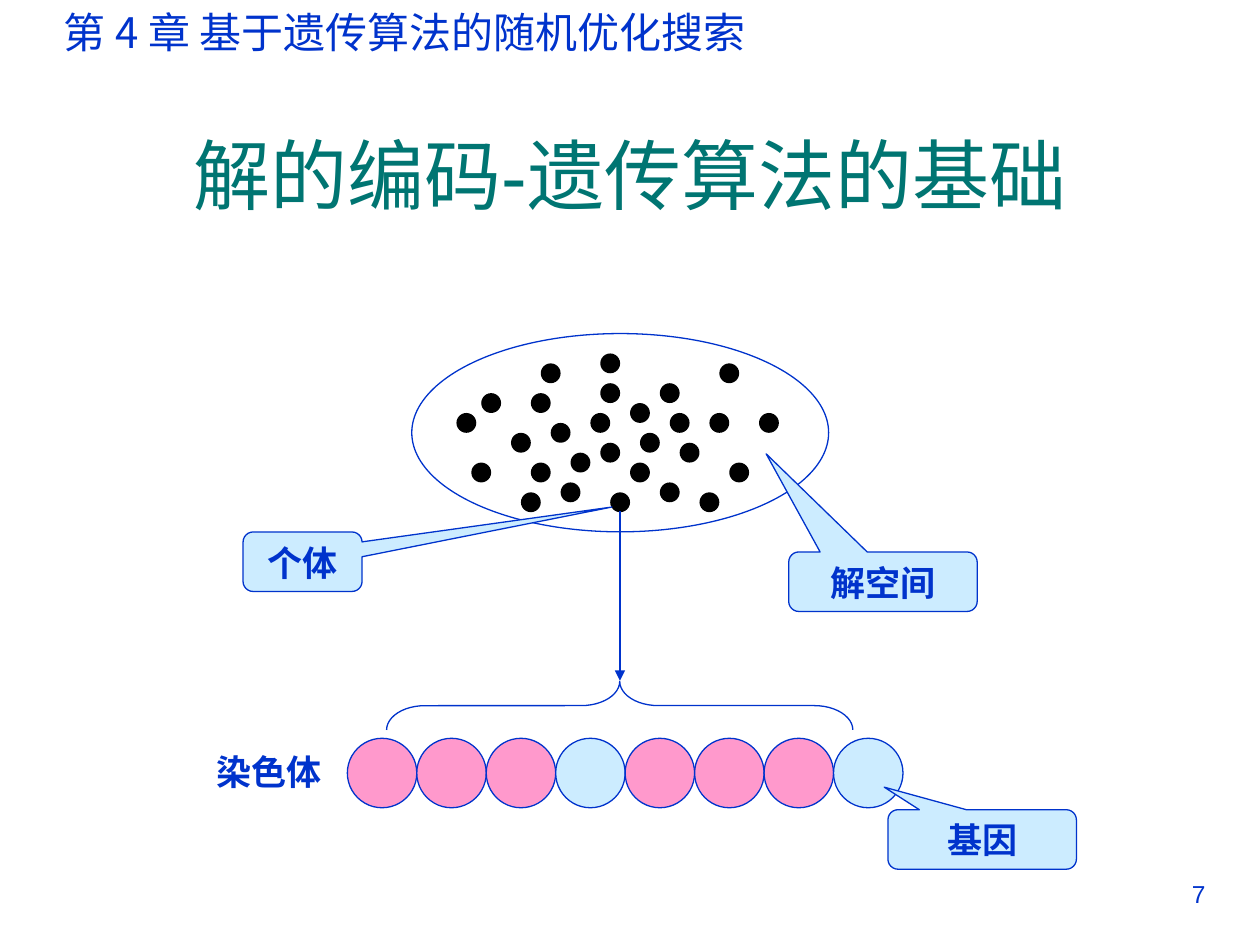
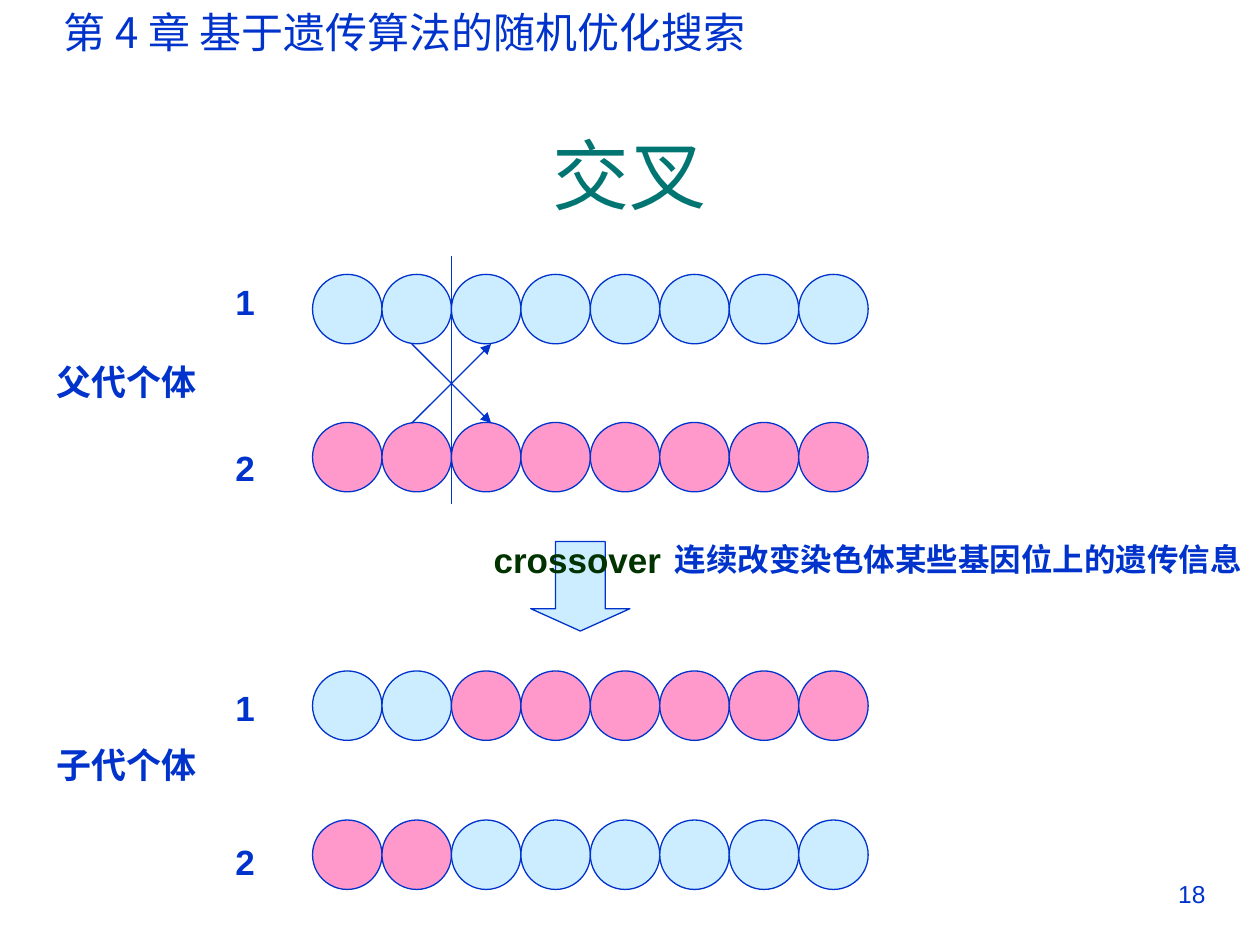
from pptx import Presentation
from pptx.dml.color import RGBColor
from pptx.enum.shapes import MSO_CONNECTOR, MSO_SHAPE
from pptx.enum.text import MSO_ANCHOR, PP_ALIGN
from pptx.oxml.ns import qn
from pptx.util import Pt
from lxml import etree

OVAL = MSO_SHAPE.OVAL
CALL = MSO_SHAPE.ROUNDED_RECTANGULAR_CALLOUT
BRACE = MSO_SHAPE.LEFT_BRACE
DOWN = MSO_SHAPE.DOWN_ARROW
LINE = MSO_CONNECTOR.STRAIGHT
TOP, MID = MSO_ANCHOR.TOP, MSO_ANCHOR.MIDDLE
LEFT, MIDST, RIGHT = PP_ALIGN.LEFT, PP_ALIGN.CENTER, PP_ALIGN.RIGHT

HUES = {"blue": "0033CC", "sky": "CCECFF", "pink": "FF99CC",
        "teal": "007572", "green": "003300", "black": "000000"}
LATIN, HAN = "Arial", "Noto Sans CJK SC"
GENE = 39.69   # diameter and pitch of a gene
GRID = 5.67    # pitch of the dots in the solution space


def draw(page, box, kind=None, fill=None, line="blue", adj=()):
    """Add a preset shape, or a text box when no kind is given."""
    box = [Pt(n) for n in box]
    if kind is None:
        return page.shapes.add_textbox(*box)
    shape = page.shapes.add_shape(kind, *box)
    shape.shadow.inherit = False
    for i, n in enumerate(adj):
        shape.adjustments[i] = n
    if fill:
        shape.fill.solid()
        shape.fill.fore_color.rgb = RGBColor.from_string(HUES[fill])
    else:
        shape.fill.background()
    if line:
        shape.line.color.rgb = RGBColor.from_string(HUES[line])
        shape.line.width = Pt(0.75)
    else:
        shape.line.fill.background()
    return shape


def write(shape, text, size=20, hue="blue", bold=True, font=LATIN,
          align=LEFT, anchor=TOP, wrap=False):
    frame = shape.text_frame
    frame.word_wrap = wrap
    frame.vertical_anchor = anchor
    par = frame.paragraphs[0]
    par.alignment = align
    run = par.add_run()
    run.text = text
    run.font.size = Pt(size)
    run.font.bold = bold
    run.font.name = font
    run.font.color.rgb = RGBColor.from_string(HUES[hue])
    east = etree.SubElement(run.font._element, qn("a:ea"))
    east.set("typeface", HAN)


deck = Presentation()
deck.slide_width, deck.slide_height = Pt(720), Pt(540)

# Header, title and number of every slide
pages = []
for title, number in [("解的编码-遗传算法的基础", "7"), ("交叉", "18")]:
    page = deck.slides.add_slide(deck.slide_layouts[6])
    write(draw(page, (29.5, 0, 420.5, 36)), "第 4 章 基于遗传算法的随机优化搜索",
          size=24, bold=False, font=HAN)
    write(draw(page, (24, 54, 672, 90)), title, size=44, hue="teal",
          bold=False, align=MIDST, anchor=MID, wrap=True)
    write(draw(page, (516, 499, 180, 37.5)), number, size=14,
          bold=False, align=RIGHT, wrap=True)
    pages.append(page)
code, cross = pages

# Solution space: the columns of the dots in each grid row
draw(code, (235.3, 190.6, 238.2, 113.3), OVAL)
dots = {0: [15], 1: [9, 27], 3: [15, 21], 4: [3, 8], 5: [18],
        6: [0.5, 14, 22, 26, 31], 7: [10], 8: [6, 19], 9: [15, 23],
        10: [12], 11: [2, 8, 18, 28], 13: [11, 21], 14: [7, 16, 25]}
for row, cols in dots.items():
    for col in cols:
        draw(code, (258 + col * GRID, 202 + row * GRID, 11.34, 11.34),
             OVAL, "black", None)

# Strands of genes: p is pink, s is sky
strands = [(code, 198.5, 421.9, "pppsppps"),
           (cross, 178.6, 156.8, "ssssssss"),
           (cross, 178.6, 241.4, "pppppppp"),
           (cross, 178.6, 383.4, "sspppppp"),
           (cross, 178.6, 468.6, "ppssssss")]
for page, left, top, genes in strands:
    for i, gene in enumerate(genes):
        draw(page, (left + i * GENE, top, GENE, GENE), OVAL,
             "pink" if gene == "p" else "sky")

brace = draw(code, (340.2, 270, 27.8, 266.4), BRACE, adj=(0.79, 0.5))
brace.rotation = 90

calls = [("个体", (138.9, 304, 68, 34), (2.6, -0.92, 0.17)),
         ("解空间", (450.7, 315.4, 107.7, 34), (-0.62, -2.15, 0.17)),
         ("基因", (507.4, 462.7, 107.7, 34), (-0.52, -0.88, 0.17))]
for text, box, adj in calls:
    write(draw(code, box, CALL, "sky", adj=adj), text,
          align=MIDST, wrap=True)

draw(cross, (303.3, 309.5, 56.7, 51.1), DOWN, "sky", adj=(0.5, 0.25))

labels = [(code, "染色体", 116.6, 425.5, {}),
          (cross, "父代个体", 25, 202.3, {}),
          (cross, "子代个体", 25, 421.2, {}),
          (cross, "1", 127.5, 157, {}),
          (cross, "2", 127.5, 251.8, {}),
          (cross, "1", 127.5, 388.8, {}),
          (cross, "2", 127.5, 476.8, {}),
          (cross, "crossover", 275, 304, {"hue": "green"}),
          (cross, "连续改变染色体某些基因位上的遗传信息", 378.4, 305.3, {"size": 18})]
for page, text, left, top, form in labels:
    width = 14.4 + len(text) * form.get("size", 20)
    write(draw(page, (left, top, width, 31.5)), text, **form)

# Link to the chromosome, cut line and the two swaps
lines = [(code, (354.3, 292.3, 354.3, 389), True),
         (cross, (257.9, 146.2, 257.9, 288), False),
         (cross, (235.3, 196.5, 280.7, 241.8), True),
         (cross, (235.3, 241.8, 280.7, 196.5), True)]
for page, ends, arrow in lines:
    link = page.shapes.add_connector(LINE, *[Pt(n) for n in ends])
    link.line.color.rgb = RGBColor.from_string(HUES["blue"])
    link.line.width = Pt(0.75)
    if arrow:
        tail = etree.SubElement(link.line._get_or_add_ln(), qn("a:tailEnd"))
        tail.set("type", "triangle")
    etree.SubElement(link._element.spPr, qn("a:effectLst"))

deck.save("out.pptx")
